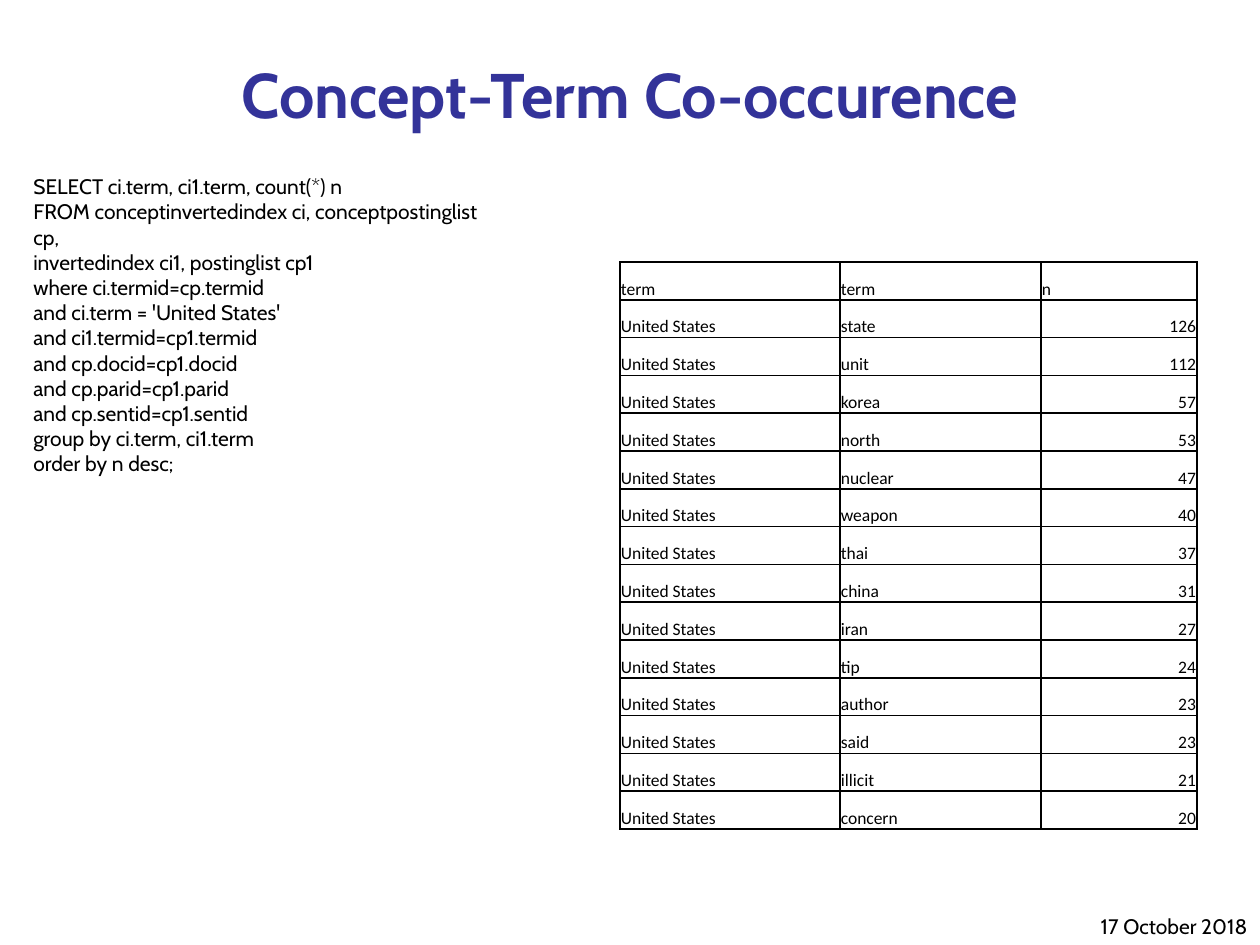
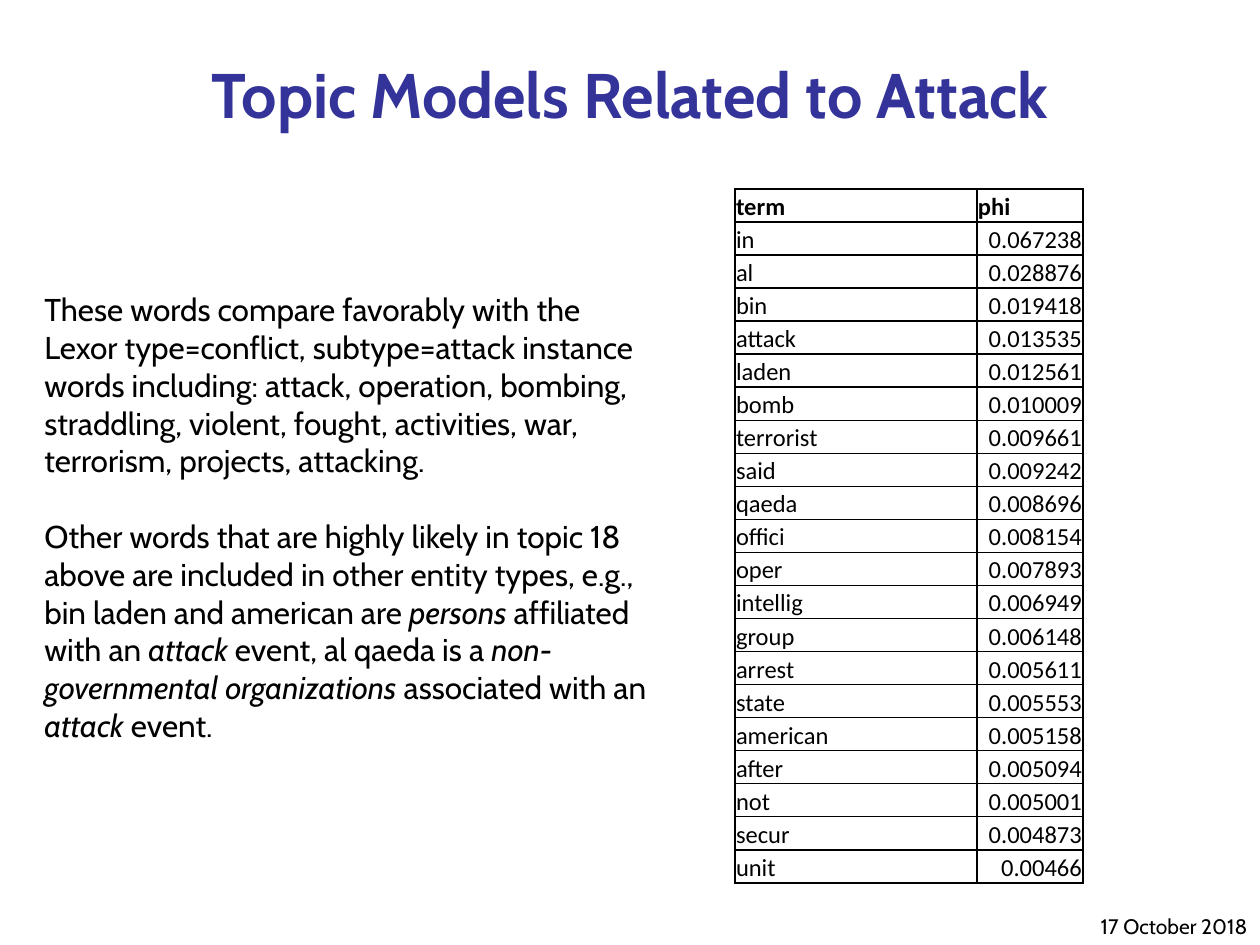
"""Build two slides on concept-term co-occurrence and topic models."""
from dataclasses import dataclass

from lxml.etree import SubElement
from pptx import Presentation
from pptx.dml.color import RGBColor
from pptx.enum.text import MSO_ANCHOR, PP_ALIGN
from pptx.oxml.ns import qn
from pptx.util import Emu, Pt


@dataclass(frozen=True)
class Theme:
    ink: str = "000000"
    heading: str = "333399"
    paper: str = "FFFFFF"
    text_font: str = "Cabin"
    table_font: str = "Calibri"
    title_size: int = 36
    prose_size: int = 18
    small_size: int = 12
    term_size: int = 10
    phi_size: int = 14
    prose_gap: float = 21.6
    border: int = 12700


theme = Theme()
PX = 914400 / 126
WIDTH, HEIGHT = 1260, 945


def write(paragraph, runs, font, size, color=theme.ink, bold=False, align=PP_ALIGN.LEFT):
    paragraph.alignment = align
    for text, italic in runs:
        run = paragraph.add_run()
        run.text = text
        run.font.name = font
        run.font.size = Pt(size)
        run.font.bold = bold
        run.font.italic = italic
        run.font.color.rgb = RGBColor.from_string(color)


def add_text(slide, box, paragraphs, size, anchor, gap=0, **style):
    frame = slide.shapes.add_textbox(*(Emu(round(n * PX)) for n in box)).text_frame
    frame.word_wrap = True
    frame.vertical_anchor = anchor
    for index, runs in enumerate(paragraphs):
        paragraph = frame.add_paragraph() if index else frame.paragraphs[0]
        if index and gap:
            paragraph.space_before = Pt(gap)
        write(paragraph, runs, theme.text_font, size, **style)


query = """SELECT ci.term, ci1.term, count(*) n
FROM conceptinvertedindex ci, conceptpostinglist cp,
invertedindex ci1, postinglist cp1
where ci.termid=cp.termid
and ci.term = 'United States'
and ci1.termid=cp1.termid
and cp.docid=cp1.docid
and cp.parid=cp1.parid
and cp.sentid=cp1.sentid
group by ci.term, ci1.term
order by n desc;"""

comparison = [
    [("These words compare favorably with the Lexor type=conflict, subtype=attack "
      "instance words including: attack, operation, bombing, straddling, violent, "
      "fought, activities, war, terrorism, projects, attacking.", False)],
    [("Other words that are highly likely in topic 18 above are included in other "
      "entity types, e.g., bin laden and american are ", False),
     ("persons", True),
     (" affiliated with an ", False),
     ("attack", True),
     (" event, al qaeda is a ", False),
     ("non-governmental organizations", True),
     (" associated with an ", False),
     ("attack", True),
     (" event.", False)],
]

term_counts = [
    ("state", "126"), ("unit", "112"), ("korea", "57"), ("north", "53"),
    ("nuclear", "47"), ("weapon", "40"), ("thai", "37"), ("china", "31"),
    ("iran", "27"), ("tip", "24"), ("author", "23"), ("said", "23"),
    ("illicit", "21"), ("concern", "20"),
]

term_phis = [
    ("in", "0.067238"), ("al", "0.028876"), ("bin", "0.019418"),
    ("attack", "0.013535"), ("laden", "0.012561"), ("bomb", "0.010009"),
    ("terrorist", "0.009661"), ("said", "0.009242"), ("qaeda", "0.008696"),
    ("offici", "0.008154"), ("oper", "0.007893"), ("intellig", "0.006949"),
    ("group", "0.006148"), ("arrest", "0.005611"), ("state", "0.005553"),
    ("american", "0.005158"), ("after", "0.005094"), ("not", "0.005001"),
    ("secur", "0.004873"), ("unit", "0.00466"),
]

pages = [
    dict(
        title="Concept-Term Co-occurence",
        body=dict(box=(21, 179, 491, 292), size=theme.small_size,
                  paragraphs=[[(line, False)] for line in query.splitlines()],
                  anchor=MSO_ANCHOR.MIDDLE),
        rows=[("term", "term", "n")] + [("United States", *pair) for pair in term_counts],
        corner=(620, 262), columns=(220, 201, 156), table_height=567,
        table_size=theme.term_size, bold_header=False,
    ),
    dict(
        title="Topic Models Related to Attack",
        body=dict(box=(32, 284, 630, 471), size=theme.prose_size,
                  paragraphs=comparison, anchor=MSO_ANCHOR.TOP, gap=theme.prose_gap),
        rows=[("term", "phi")] + term_phis,
        corner=(735, 189), columns=(242, 106), table_height=694,
        table_size=theme.phi_size, bold_header=True,
    ),
]

deck = Presentation()
deck.slide_width = Emu(round(WIDTH * PX))
deck.slide_height = Emu(round(HEIGHT * PX))

for page in pages:
    slide = deck.slides.add_slide(deck.slide_layouts[6])
    slide.background.fill.solid()
    slide.background.fill.fore_color.rgb = RGBColor.from_string(theme.paper)
    add_text(slide, (0, 53, WIDTH, 84), [[(page["title"], False)]], theme.title_size,
             MSO_ANCHOR.BOTTOM, color=theme.heading, bold=True, align=PP_ALIGN.CENTER)
    add_text(slide, **page["body"])

    rows, columns = page["rows"], page["columns"]
    frame = (*page["corner"], sum(columns), page["table_height"])
    table = slide.shapes.add_table(
        len(rows), len(columns), *(Emu(round(n * PX)) for n in frame)).table
    table.first_row = False
    table.horz_banding = False
    for column, width in zip(table.columns, columns):
        column.width = Emu(round(width * PX))
    for r, row in enumerate(rows):
        for c, text in enumerate(row):
            cell = table.cell(r, c)
            cell.margin_left = cell.margin_right = cell.margin_top = Emu(round(PX))
            cell.margin_bottom = 0
            cell.vertical_anchor = MSO_ANCHOR.BOTTOM
            properties = cell._tc.get_or_add_tcPr()
            for side in ("a:lnL", "a:lnR", "a:lnT", "a:lnB"):
                border = SubElement(properties, qn(side), w=str(theme.border))
                SubElement(SubElement(border, qn("a:solidFill")), qn("a:srgbClr"), val=theme.ink)
            cell.fill.background()
            is_number = r > 0 and c == len(row) - 1
            write(cell.text_frame.paragraphs[0], [(text, False)], theme.table_font,
                  page["table_size"], bold=r == 0 and page["bold_header"],
                  align=PP_ALIGN.RIGHT if is_number else PP_ALIGN.LEFT)

    add_text(slide, (998, 892, 262, 53), [[("17 October 2018", False)]],
             theme.small_size, MSO_ANCHOR.BOTTOM, align=PP_ALIGN.RIGHT)

deck.save("out.pptx")
